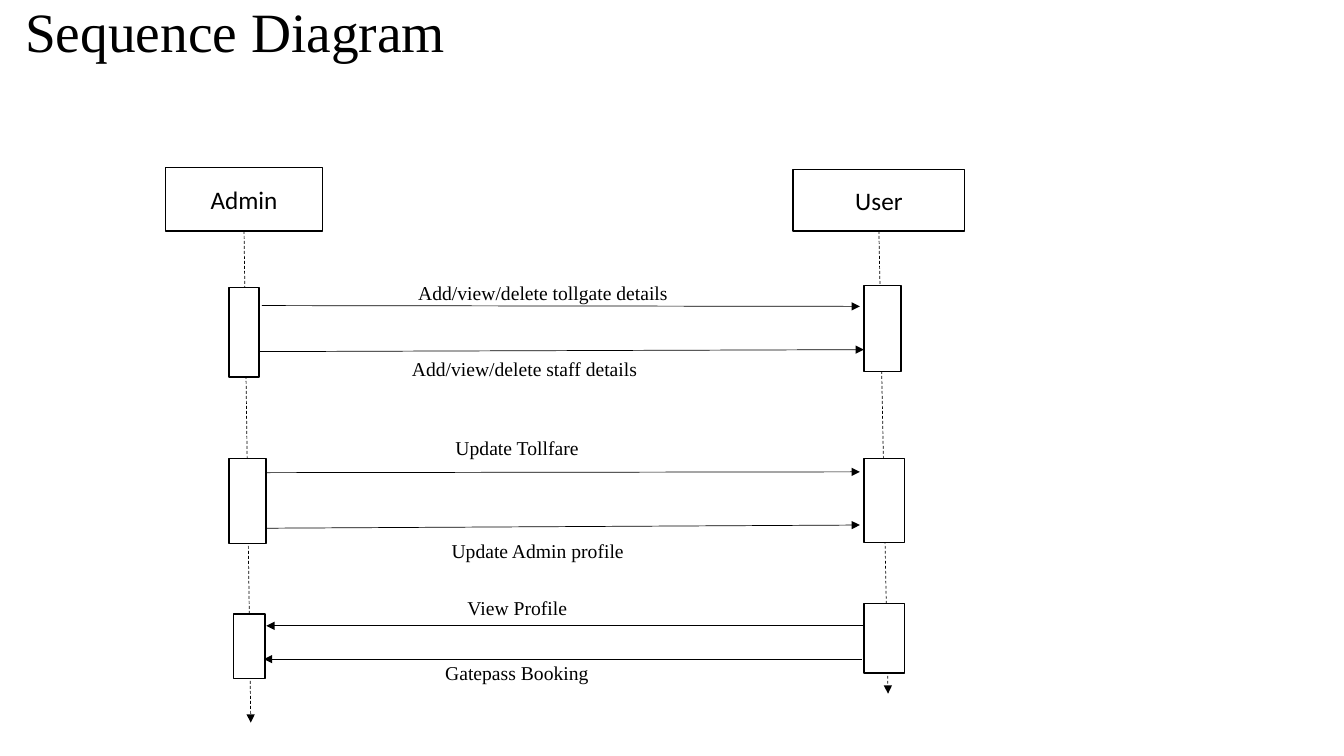
"""Build the sequence diagram slide of the toll gate system."""
from dataclasses import dataclass

from lxml.etree import SubElement
from pptx import Presentation
from pptx.dml.color import RGBColor
from pptx.enum.dml import MSO_LINE_DASH_STYLE as DASH
from pptx.enum.shapes import MSO_AUTO_SHAPE_TYPE as SHAPE, MSO_CONNECTOR_TYPE as CONN
from pptx.enum.text import MSO_ANCHOR as ANCHOR, MSO_AUTO_SIZE as FIT, PP_ALIGN as ALIGN
from pptx.oxml.ns import qn
from pptx.util import Cm, Pt

BLACK = RGBColor(0x00, 0x00, 0x00)
WHITE = RGBColor(0xFF, 0xFF, 0xFF)
TITLE_FONT = {"name": "Times New Roman", "size": Pt(39.6)}
HEAD_FONT = {"name": "Calibri", "size": Pt(18)}
LABEL_FONT = {"name": "Times New Roman", "size": Pt(14)}
LABEL_HEIGHT = 0.86

Point = tuple[float, float]


@dataclass(frozen=True)
class Box:
    """A rectangle in centimetres."""
    left: float
    top: float
    width: float
    height: float

    def emu(self) -> tuple:
        """Return the rectangle as slide lengths."""
        return Cm(self.left), Cm(self.top), Cm(self.width), Cm(self.height)


@dataclass(frozen=True)
class Participant:
    """A named head, its lifeline end and its activation bars."""
    name: str
    head: Box
    end: Point
    bars: tuple[Box, ...]


@dataclass(frozen=True)
class Message:
    """An arrow between lifelines with its label."""
    text: str
    start: Point
    end: Point
    label: Point
    width: float


PARTICIPANTS = (
    Participant("Admin", Box(4.17, 4.22, 3.96, 1.6), (6.32, 18.21), (
        Box(5.77, 7.24, 0.76, 2.26),
        Box(5.77, 11.56, 0.94, 2.13),
        Box(5.89, 15.47, 0.79, 1.63))),
    Participant("User", Box(19.99, 4.27, 4.32, 1.55), (22.38, 17.48), (
        Box(21.77, 7.19, 0.94, 2.18),
        Box(21.77, 11.56, 1.02, 2.11),
        Box(21.77, 15.21, 1.02, 1.75))),
)
MESSAGES = (
    Message("Add/view/delete tollgate details", (6.6, 7.7), (21.67, 7.72), (10.29, 6.96), 9.17),
    Message("Add/view/delete staff details", (6.53, 8.86), (21.77, 8.81), (10.13, 8.86), 7.7),
    Message("Update Tollfare", (6.71, 11.91), (21.67, 11.89), (11.23, 10.87), 8.08),
    Message("Update Admin profile", (6.71, 13.31), (21.67, 13.23), (11.13, 13.46), 6.2),
    Message("View Profile", (21.77, 15.77), (6.71, 15.77), (11.53, 14.88), 4.62),
    Message("Gatepass Booking", (21.72, 16.61), (6.65, 16.61), (10.97, 16.54), 5.33),
)


def write(tf, text: str, font: dict):
    """Write one formatted line and return its paragraph."""
    p = tf.paragraphs[0]
    r = p.add_run()
    r.text = text
    for key, value in font.items():
        setattr(r.font, key, value)
    r.font.color.rgb = BLACK
    return p


def add_title(slide, text: str) -> None:
    """Place and fill the title placeholder."""
    sp = slide.shapes.title
    sp.left, sp.top, sp.width, sp.height = Box(0.38, 0.23, 29.21, 1.3).emu()
    tf = sp.text_frame
    for key, value in {"auto_size": FIT.NONE, "vertical_anchor": ANCHOR.MIDDLE}.items():
        setattr(tf, key, value)
    p = write(tf, text, TITLE_FONT)
    p.alignment, p.line_spacing = ALIGN.LEFT, 0.9


def add_box(slide, box: Box):
    """Draw a white rectangle with a black outline."""
    sp = slide.shapes.add_shape(SHAPE.RECTANGLE, *box.emu())
    sp.shadow.inherit = False
    sp.fill.solid()
    sp.fill.fore_color.rgb = WHITE
    sp.line.color.rgb = BLACK
    sp.line.width = Pt(1)
    return sp


def add_arrow(slide, start: Point, end: Point, dash=None):
    """Draw a thin arrow between two points."""
    cxn = slide.shapes.add_connector(CONN.STRAIGHT, *map(Cm, start + end))
    cxn.line.color.rgb = BLACK
    cxn.line.width = Pt(0.5)
    if dash is not None:
        cxn.line.dash_style = dash
    SubElement(cxn.line._get_or_add_ln(), qn("a:tailEnd"), type="triangle")
    SubElement(cxn._element.spPr, qn("a:effectLst"))
    return cxn


def add_participant(slide, who: Participant) -> None:
    """Draw a head, its lifeline and its activation bars."""
    head = add_box(slide, who.head)
    head.text_frame.vertical_anchor = ANCHOR.MIDDLE
    write(head.text_frame, who.name, HEAD_FONT).alignment = ALIGN.CENTER
    start = (who.head.left + who.head.width / 2, who.head.top + who.head.height)
    add_arrow(slide, start, who.end, DASH.DASH).begin_connect(head, 2)
    for bar in who.bars:
        add_box(slide, bar)


def add_message(slide, msg: Message) -> None:
    """Draw a message arrow and its label."""
    add_arrow(slide, msg.start, msg.end)
    box = Box(*msg.label, msg.width, LABEL_HEIGHT)
    tf = slide.shapes.add_textbox(*box.emu()).text_frame
    for key, value in {"word_wrap": True, "auto_size": FIT.SHAPE_TO_FIT_TEXT}.items():
        setattr(tf, key, value)
    write(tf, msg.text, LABEL_FONT)


def main() -> None:
    """Build and save the presentation."""
    prs = Presentation()
    prs.slide_width, prs.slide_height = Cm(33.87), Cm(19.05)
    slide = prs.slides.add_slide(prs.slide_layouts[5])
    add_title(slide, "Sequence Diagram")
    for who in PARTICIPANTS:
        add_participant(slide, who)
    for msg in MESSAGES:
        add_message(slide, msg)
    prs.save("out.pptx")


if __name__ == "__main__":
    main()
